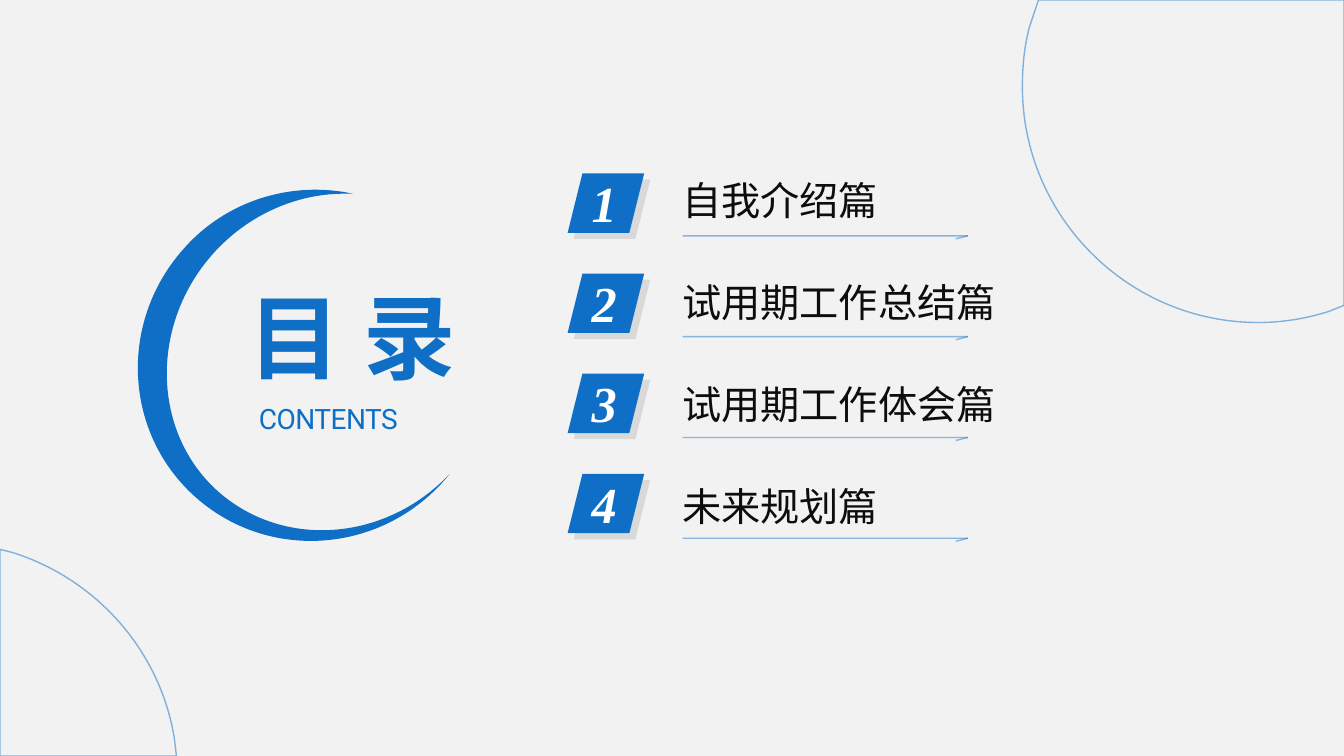
import math
from dataclasses import dataclass

from lxml import etree
from pptx import Presentation
from pptx.dml.color import RGBColor
from pptx.enum import shapes, text
from pptx.oxml import ns
from pptx.util import Inches, Pt


@dataclass(frozen=True)
class Theme:
    """Colours, fonts and type sizes of the slide."""
    blue: str = "0F6FC6"
    paper: str = "F2F2F2"
    shade: str = "D9D9D9"
    ink: str = "0D0D0D"
    white: str = "FFFFFF"
    cjk: str = "Noto Sans CJK SC"
    latin: str = "Roboto"
    numeral: str = "Times New Roman"
    title: int = 66
    number: int = 36
    entry: int = 28
    subtitle: int = 20
    hairline: int = 1


THEME = Theme()
ENTRIES = ["自我介绍篇", "试用期工作总结篇", "试用期工作体会篇", "未来规划篇"]

TOP_RIGHT = [
    (0.16, 0), (0.36, 0), (0.82, 0), (3.19, 0), (3.19, 3.03), (3.04, 3.09),
    (2.82, 3.16, 2.58, 3.2, 2.34, 3.2),
    (1.05, 3.2, 0, 2.15, 0, 0.86),
    (0, 0.65, 0.02, 0.46, 0.07, 0.27),
]
BOTTOM_LEFT = [
    (0, 0), (0.12, 0.03),
    (0.95, 0.29, 1.59, 1, 1.73, 1.88),
    (1.75, 2.05), (0, 2.05),
]
CRESCENT = [
    (2.14, 0.04), (2.04, 0.04),
    (1.57, 0.04, 1.08, 0.25, 0.73, 0.65),
    (0.11, 1.36, 0.14, 2.42, 0.8, 3),
    (1.43, 3.55, 2.39, 3.49, 3.02, 2.89),
    (3.09, 2.82), (3.04, 2.88),
    (2.4, 3.61, 1.3, 3.69, 0.58, 3.06),
    (-0.14, 2.43, -0.2, 1.33, 0.44, 0.6),
    (0.87, 0.1, 1.53, -0.09, 2.13, 0.04),
    (2.14, 0.04),
]
CRESCENT_CENTER = (1.67, 1.82)
CRESCENT_TURN = 41.2


def spread(first, last, count):
    """Return evenly spaced positions from first to last."""
    return [first + (last - first) * i / (count - 1) for i in range(count)]


def turn(outline, center, degrees):
    """Rotate every point of an outline about a center."""
    cos, sin = math.cos(math.radians(degrees)), math.sin(math.radians(degrees))
    turned = []
    for part in outline:
        pairs = [(x - center[0], y - center[1]) for x, y in zip(part[::2], part[1::2])]
        turned.append(tuple(value for x, y in pairs for value in (
            center[0] + x * cos - y * sin, center[1] + x * sin + y * cos)))
    return turned


def paint(shape, color):
    """Fill a shape plainly, without line or shadow."""
    shape.shadow.inherit = False
    shape.fill.solid()
    shape.fill.fore_color.rgb = RGBColor.from_string(color)
    shape.line.fill.background()


def thin_line(shape, opacity):
    """Make a line thin, blue and partly transparent."""
    shape.line.width = Pt(THEME.hairline)
    shape.line.color.rgb = RGBColor.from_string(THEME.blue)
    color = shape._element.spPr.find(ns.qn("a:ln")).find(".//" + ns.qn("a:srgbClr"))
    etree.SubElement(color, ns.qn("a:alpha"), val=str(opacity * 1000))


def outline_shape(slide, left, top, outline, color):
    """Draw a closed outline of lines and cubic curves."""
    points = [(Inches(left + x), Inches(top + y))
              for part in outline for x, y in zip(part[::2], part[1::2])]
    builder = slide.shapes.build_freeform(*points[0], scale=1.0)
    builder.add_line_segments(points[1:], close=True)
    shape = builder.convert_to_shape()
    segments = iter(shape._element.findall(".//" + ns.qn("a:lnTo")))
    for part in outline[1:]:
        segment = next(segments)
        if len(part) == 6:
            curve = etree.Element(ns.qn("a:cubicBezTo"))
            segment.addprevious(curve)
            for control in (segment, next(segments), next(segments)):
                curve.append(control[0])
                control.getparent().remove(control)
    paint(shape, color)
    return shape


def label(slide, box, words, face, size, color, spacing=0, bold=False, italic=False):
    """Place one line of text in a box and return its paragraph."""
    frame = slide.shapes.add_textbox(*map(Inches, box)).text_frame
    frame.word_wrap = True
    frame.vertical_anchor = text.MSO_ANCHOR.TOP
    paragraph = frame.paragraphs[0]
    paragraph.text = words
    font = paragraph.font
    font.name, font.size, font.bold, font.italic = face, Pt(size), bold, italic
    font.color.rgb = RGBColor.from_string(color)
    font._rPr.set("spc", str(round(spacing * 100)))
    etree.SubElement(font._rPr, ns.qn("a:ea"), typeface=face)
    return paragraph


def corner(slide, left, top, outline):
    """Draw a circle that is cut off by the slide's corner."""
    thin_line(outline_shape(slide, left, top, outline, THEME.paper), 50)


def heading(slide, left, top):
    """Draw the crescent with the title and subtitle inside it."""
    label(slide, (left + 1, top + 0.85, 3.52, 1.21), "目录",
          THEME.cjk, THEME.title, THEME.blue, spacing=16, bold=True)
    subtitle = label(slide, (left + 1.1, top + 2.05, 2.1, 0.44), "CONTENTS",
                     THEME.latin, THEME.subtitle, THEME.blue, spacing=-0.4)
    subtitle.alignment = text.PP_ALIGN.JUSTIFY
    upright = turn(CRESCENT, CRESCENT_CENTER, -CRESCENT_TURN)
    outline_shape(slide, left, top, upright, THEME.blue).rotation = CRESCENT_TURN


def badge(slide, left, top, number):
    """Draw a slanted number badge over its offset shade."""
    for offset, color in ((0.06, THEME.shade), (0, THEME.blue)):
        paint(slide.shapes.add_shape(
            shapes.MSO_SHAPE.PARALLELOGRAM, Inches(left + offset), Inches(top + offset),
            Inches(0.76), Inches(0.59)), color)
    label(slide, (left + 0.14, top - 0.06, 0.58, 0.71), str(number), THEME.numeral,
          THEME.number, THEME.white, spacing=6, bold=True, italic=True)


def underline(slide, left, top, width):
    """Draw a rule that ends in a half arrowhead."""
    tip = left + width
    for start, end in (((left, top), (tip, top)), ((tip, top), (tip - 0.12, top + 0.03))):
        stroke = slide.shapes.add_connector(
            shapes.MSO_CONNECTOR.STRAIGHT, *map(Inches, start + end))
        thin_line(stroke, 45)
        etree.SubElement(stroke._element.spPr, ns.qn("a:effectLst"))


def contents(slide, left, top):
    """List the numbered entries, each above its underline."""
    count = len(ENTRIES)
    badge_tops = spread(top, top + 2.98, count)
    rule_tops = spread(top + 0.62, top + 3.62, count)
    entry_tops = spread(top + 0.07, top + 3.11, count)
    rows = zip(ENTRIES, badge_tops, rule_tops, entry_tops)
    for number, (words, badge_top, rule_top, entry_top) in enumerate(rows, 1):
        badge(slide, left, badge_top, number)
        underline(slide, left + 1.14, rule_top, 2.83)
        entry = label(slide, (left + 1.04, entry_top, 4.56, 0.5), words,
                      THEME.cjk, THEME.entry, THEME.ink)
        entry.line_spacing = 0.8
        entry.space_before = Pt(10)


def main():
    """Build the contents slide and save it."""
    deck = Presentation()
    deck.slide_width, deck.slide_height = Inches(13.33), Inches(7.5)
    slide = deck.slides.add_slide(deck.slide_layouts[6])
    slide.background.fill.solid()
    slide.background.fill.fore_color.rgb = RGBColor.from_string(THEME.paper)
    corner(slide, 10.14, 0, TOP_RIGHT)
    heading(slide, 1.37, 1.88)
    corner(slide, 0, 5.45, BOTTOM_LEFT)
    contents(slide, 5.63, 1.72)
    deck.save("out.pptx")


if __name__ == "__main__":
    main()
